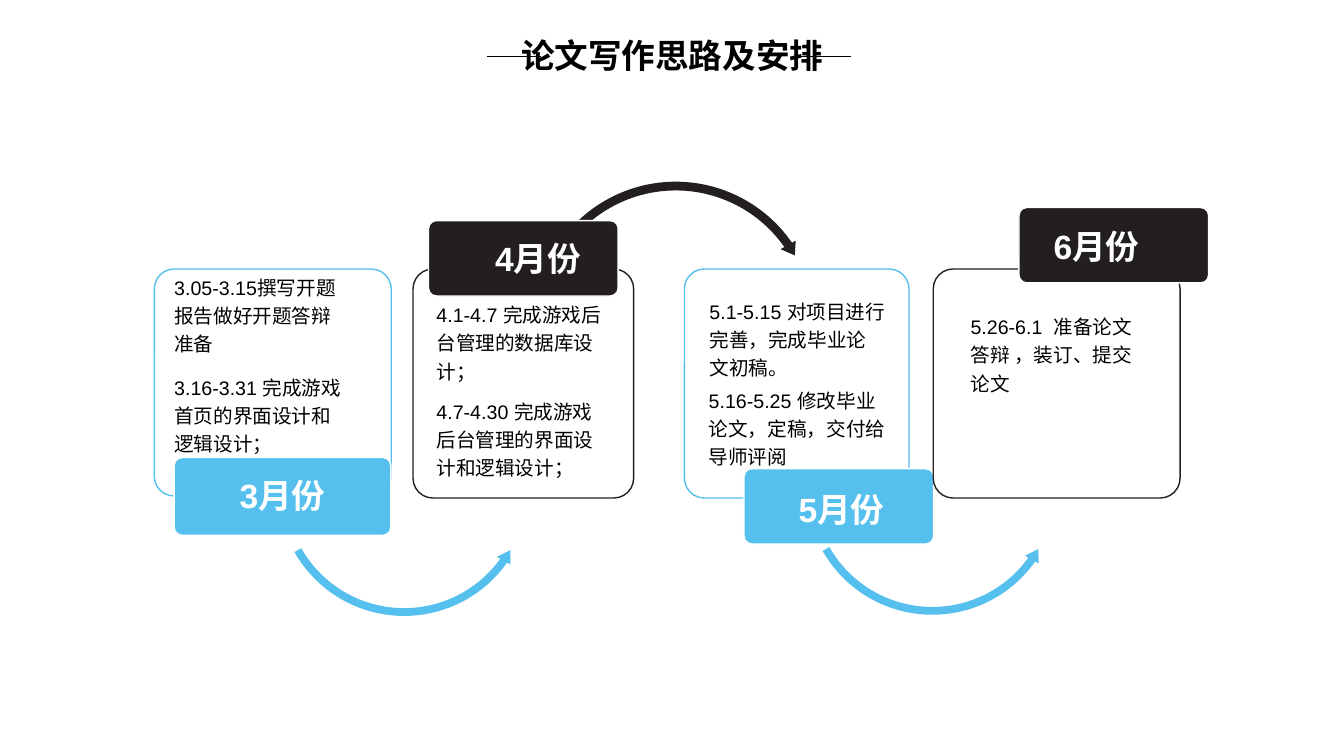
import pptx
import pptx.util
import pptx.dml.color
import pptx.enum.shapes
import pptx.enum.text
import pptx.oxml
import pptx.oxml.ns

Cm, Pt = pptx.util.Cm, pptx.util.Pt
Kind = pptx.enum.shapes.MSO_SHAPE
Align = pptx.enum.text.PP_ALIGN
qn = pptx.oxml.ns.qn
BLUE, BLACK, WHITE = "55C0EE", "231F20", "FFFFFF"
HAN = "Noto Sans CJK SC"


def color(code):
    return pptx.dml.color.RGBColor.from_string(code)


def write(shape, text, size, code, name="Arial", bold=False, align=Align.LEFT):
    frame = shape.text_frame
    frame.word_wrap = True
    frame.vertical_anchor = pptx.enum.text.MSO_ANCHOR.TOP
    frame.auto_size = pptx.enum.text.MSO_AUTO_SIZE.NONE
    frame.text = text
    para = frame.paragraphs[0]
    para.alignment = align
    para.font.size, para.font.bold = Pt(size), bold
    para.font.color.rgb = color(code)
    para.font.name = name
    # East Asian typeface
    props = para._p.pPr.find(qn("a:defRPr"))
    props.append(props.makeelement(qn("a:ea"), {"typeface": HAN}))
    return para


deck = pptx.Presentation()
deck.slide_width, deck.slide_height = Cm(33.87), Cm(19.05)
slide = deck.slides.add_slide(deck.slide_layouts[5])
shapes = slide.shapes

# Title with a line on each side
title = shapes.title
title.left, title.top, title.width, title.height = map(Cm, (11.58, 0.76, 10.72, 1.27))
write(title, "论文写作思路及安排", 24, "000000", HAN, True, Align.CENTER)
for start, end in ((12.27, 13.64), (20.09, 21.44)):
    line = shapes.add_connector(pptx.enum.shapes.MSO_CONNECTOR.STRAIGHT,
                                Cm(start), Cm(1.42), Cm(end), Cm(1.42))
    line.line.color.rgb = color("000000")
    line.line.width = Pt(1)
    props = line._element.spPr
    props.append(props.makeelement(qn("a:effectLst"), {}))

# Arrow shapes and their angles
under = (Kind.LEFT_CIRCULAR_ARROW, (0.03, 3.51, 21.27, 90.25, 0.03))
over = (Kind.CIRCULAR_ARROW, (0.03, 3.12, 195.13, 125.76, 0.03))

# Each month: colour, arrow (left, top, size), card (left, width, height),
# tab (left, top, width, height), label (left, top, width), notes (left, top, width)
months = [
    ("3月份", BLUE, under, (6.91, 9.07, 6.55), (3.89, 5.97, 5.72),
     (4.39, 11.53, 5.46, 1.96), (4.39, 11.84, 5.46),
     [(4.39, 6.83, 4.45, "3.05-3.15撰写开题报告做好开题答辩准备"),
      (4.39, 9.35, 4.45, "3.16-3.31 完成游戏首页的界面设计和逻辑设计；")]),
    ("4月份", BLACK, over, (13.36, 4.47, 7.34), (10.41, 5.56, 5.77),
     (10.8, 5.56, 4.78, 1.9), (11.91, 5.87, 3.3),
     [(11, 7.52, 4.37, "4.1-4.7 完成游戏后台管理的数据库设计；"),
      (11, 9.96, 4.37, "4.7-4.30 完成游戏后台管理的界面设计和逻辑设计；")]),
    ("5月份", BLUE, under, (20.22, 9.04, 6.55), (17.25, 5.66, 5.77),
     (18.75, 11.81, 4.78, 1.9), (19.51, 12.19, 3.4),
     [(17.88, 7.44, 4.45, "5.1-5.15 对项目进行完善，完成毕业论文初稿。"),
      (17.86, 9.68, 4.7, "5.16-5.25 修改毕业论文，定稿，交付给导师评阅")]),
    ("6月份", BLACK, None, None, (23.52, 6.22, 5.77),
     (25.68, 5.23, 4.78, 1.9), (25.83, 5.56, 3.61),
     [(24.46, 7.82, 4.34, "5.26-6.1  准备论文答辩 ，装订、提交论文")]),
]

for month, shade, curve, spot, card, tab, label, notes in months:
    # Arrow to the next month
    if curve:
        left, top, size = spot
        arrow = shapes.add_shape(curve[0], Cm(left), Cm(top), Cm(size), Cm(size))
        for index, value in enumerate(curve[1]):
            arrow.adjustments[index] = value
        arrow.shadow.inherit = False
        arrow.fill.solid()
        arrow.fill.fore_color.rgb = color(shade)
        arrow.line.fill.background()

    # Outlined card, then its solid tab
    left, width, height = card
    for box, fill, edge, radius in (((left, 6.78, width, height), WHITE, shade, 0.5),
                                    (tab, shade, WHITE, 0.2)):
        panel = shapes.add_shape(Kind.ROUNDED_RECTANGLE, *map(Cm, box))
        panel.adjustments[0] = radius / min(box[2:])
        panel.shadow.inherit = False
        panel.fill.solid()
        panel.fill.fore_color.rgb = color(fill)
        panel.line.color.rgb = color(edge)
        panel.line.width = Pt(1)
        if fill == WHITE:
            tint = panel._element.spPr.find(qn("a:solidFill"))[0]
            tint.append(tint.makeelement(qn("a:alpha"), {"val": "90000"}))

    # Month name
    name = shapes.add_textbox(*map(Cm, label), Cm(1.27))
    write(name, month, 24, WHITE, bold=True, align=Align.CENTER)

    # Tasks
    for left, top, width, text in notes:
        note = shapes.add_textbox(Cm(left), Cm(top), Cm(width), Cm(2.16))
        para = write(note, text, 14, "000000")
        para.line_spacing = 1.2
        para.space_before = Pt(2.8)
        frame = note.text_frame
        frame.margin_left = frame.margin_right = 0
        frame.margin_top = frame.margin_bottom = 0

deck.save("out.pptx")
